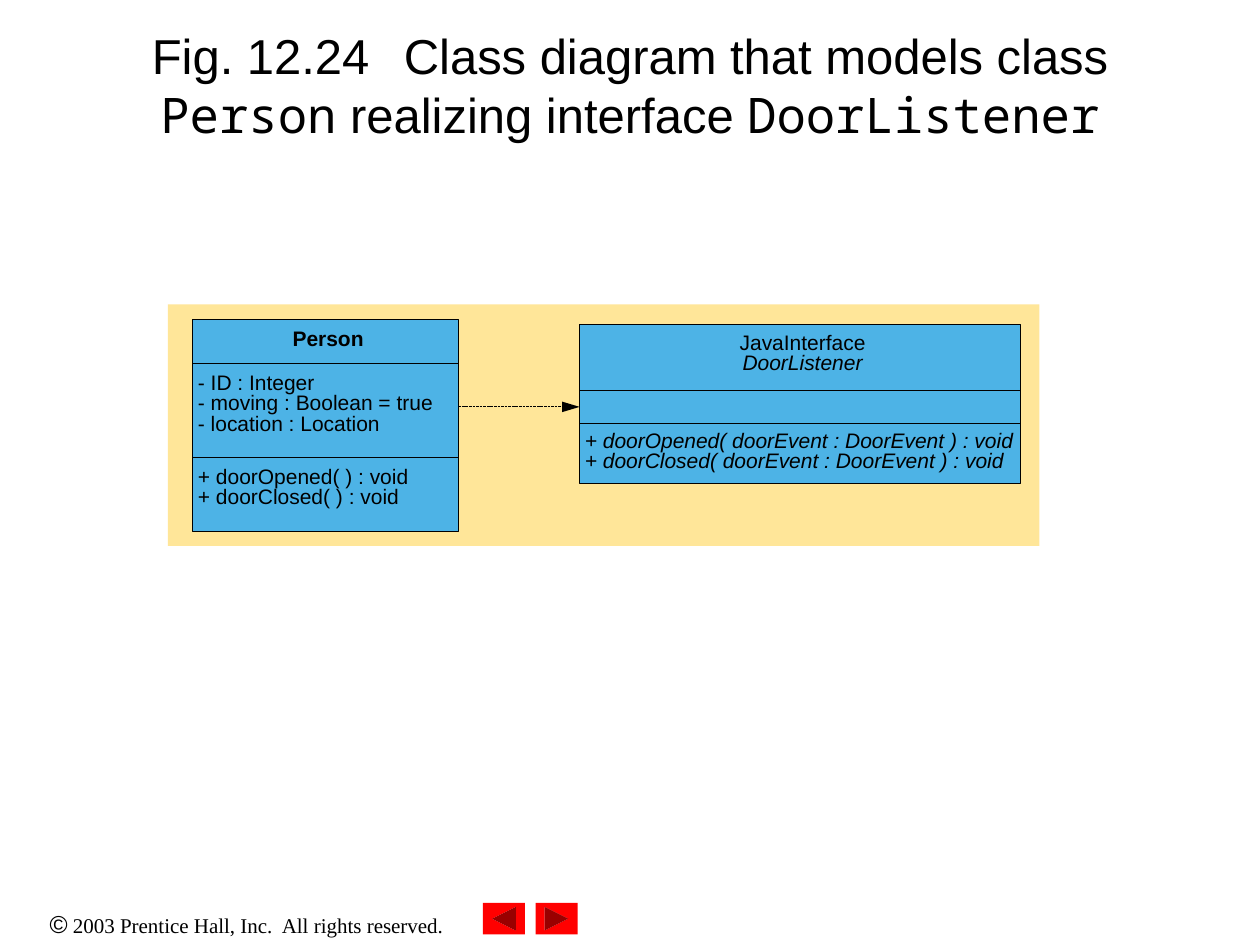
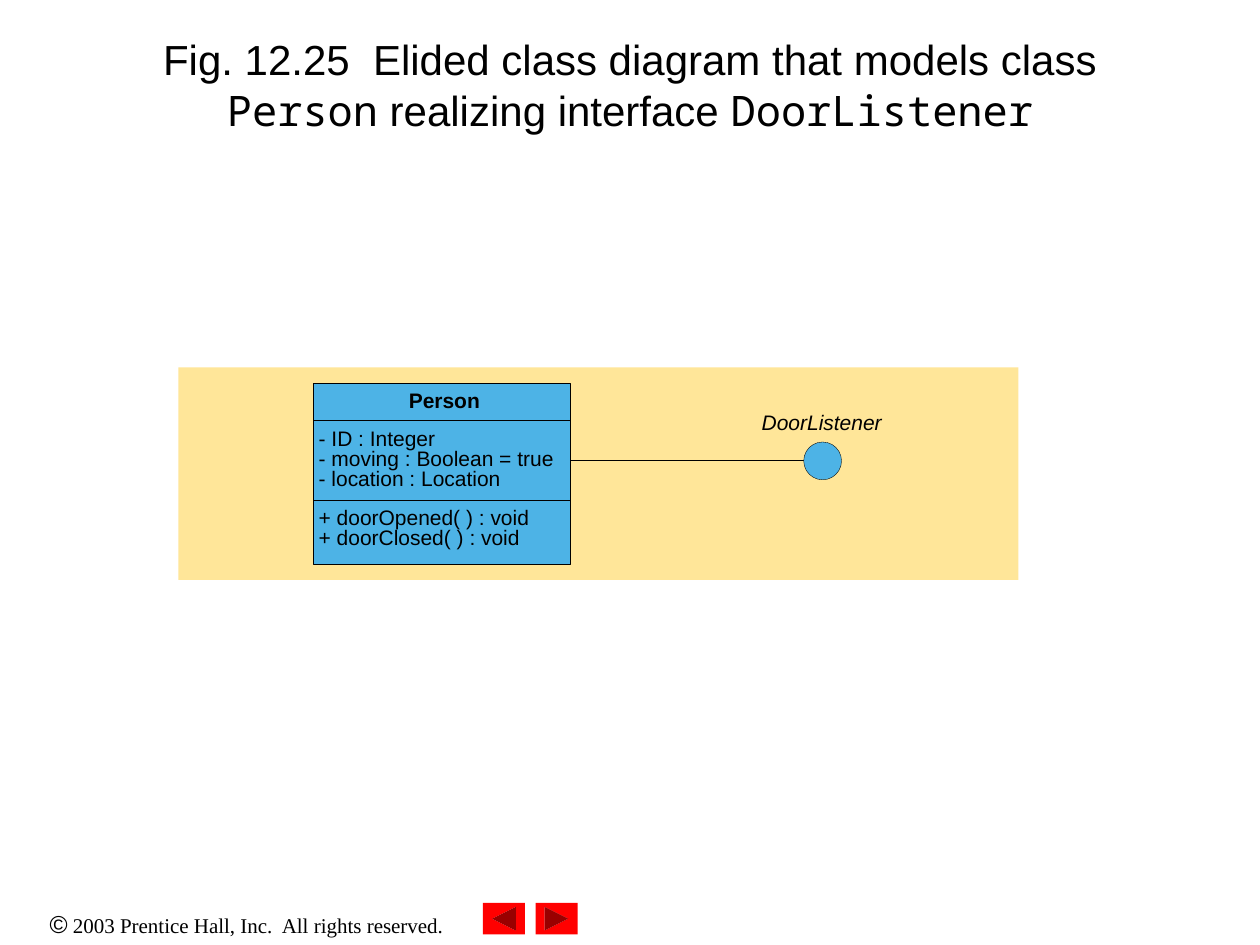
from dataclasses import dataclass
from typing import Any, NamedTuple

from lxml import etree
from pptx import Presentation
from pptx.dml.color import RGBColor
from pptx.enum.dml import MSO_LINE
from pptx.enum.shapes import MSO_CONNECTOR, MSO_SHAPE
from pptx.enum.text import MSO_ANCHOR, PP_ALIGN
from pptx.oxml.ns import qn
from pptx.util import Inches, Pt

RECTANGLE, OVAL = MSO_SHAPE.RECTANGLE, MSO_SHAPE.OVAL
NEXT_BUTTON = MSO_SHAPE.ACTION_BUTTON_FORWARD_OR_NEXT
STRAIGHT = MSO_CONNECTOR.STRAIGHT
DASHED = MSO_LINE.SQUARE_DOT
LEFT, CENTER = PP_ALIGN.LEFT, PP_ALIGN.CENTER
TOP, MIDDLE = MSO_ANCHOR.TOP, MSO_ANCHOR.MIDDLE

SLIDE_WIDTH, SLIDE_HEIGHT = Inches(10), Inches(7.5)
COLUMNS, ROWS = 120, 90
COLORS = {"ink": "000000", "panel": "FFE699", "uml": "4DB3E6", "button": "FF0000"}
SANS, MONO, SERIF = "Arial", "Noto Sans Mono", "Times New Roman"
PLAIN = {"name": SANS, "size": Pt(12)}
BOLD = PLAIN | {"bold": True}
ITALIC = PLAIN | {"italic": True}
HAIRLINE = 0.25
SIDE_PAD = 0.5
FRAME_INSETS = (1.2, 0.6)

Format = dict[str, Any]
Line = list[tuple[str, Format]]


class Area(NamedTuple):
    left: float
    top: float
    width: float
    height: float


class Compartment(NamedTuple):
    height: float
    lines: list[Line]
    align: Any = LEFT


@dataclass
class ClassBox:
    left: float
    top: float
    width: float
    text_gap: float
    compartments: list[Compartment]


@dataclass
class Figure:
    title: list[str]
    title_size: int
    panel: Area
    classes: list[ClassBox]


def col(count: float) -> int:
    return round(SLIDE_WIDTH * count / COLUMNS)


def row(count: float) -> int:
    return round(SLIDE_HEIGHT * count / ROWS)


def place(area: Area) -> tuple[int, int, int, int]:
    return col(area.left), row(area.top), col(area.width), row(area.height)


def color(key: str) -> RGBColor:
    return RGBColor.from_string(COLORS[key])


def apply(target: Any, values: Format) -> None:
    for attribute, value in values.items():
        setattr(target, attribute, value)


def add_tab_stops(paragraph: Any) -> None:
    stops = etree.SubElement(paragraph._p.get_or_add_pPr(), qn("a:tabLst"))
    for inch in range(8):
        etree.SubElement(stops, qn("a:tab"), pos=str(Inches(inch)), algn="l")


def add_text(slide: Any, area: Area, lines: list[Line], align: Any = LEFT,
             spacing: float = 0.8, anchor: Any = TOP,
             insets: tuple[float, float] = (0, 0), tabs: bool = False) -> None:
    frame = slide.shapes.add_textbox(*place(area)).text_frame
    side, end = col(insets[0]), row(insets[1])
    apply(frame, {"word_wrap": True, "vertical_anchor": anchor,
                  "margin_left": side, "margin_right": side,
                  "margin_top": end, "margin_bottom": end})
    for index, line in enumerate(lines):
        paragraph = frame.add_paragraph() if index else frame.paragraphs[0]
        apply(paragraph, {"alignment": align, "line_spacing": spacing})
        if tabs:
            add_tab_stops(paragraph)
        for words, style in line:
            run = paragraph.add_run()
            run.text = words
            apply(run.font, style)
            run.font.color.rgb = color("ink")


def add_block(slide: Any, kind: Any, area: Area, fill: str, outline: float = 0) -> Any:
    block = slide.shapes.add_shape(kind, *place(area))
    block.shadow.inherit = False
    block.fill.solid()
    block.fill.fore_color.rgb = color(fill)
    if outline:
        block.line.color.rgb = color("ink")
        block.line.width = Pt(outline)
    else:
        block.line.fill.background()
    return block


def add_rule(slide: Any, left: float, right: float, level: float,
             weight: float = HAIRLINE) -> Any:
    rule = slide.shapes.add_connector(STRAIGHT, col(left), row(level), col(right), row(level))
    rule.line.color.rgb = color("ink")
    rule.line.width = Pt(weight)
    etree.SubElement(rule._element.spPr, qn("a:effectLst"))
    return rule


def add_realization(slide: Any, left: float, right: float, level: float) -> None:
    arrow = add_rule(slide, left, right, level, 0.5)
    arrow.line.dash_style = DASHED
    etree.SubElement(arrow.line._get_or_add_ln(), qn("a:tailEnd"),
                     type="triangle", w="med", len="lg")


def add_class_box(slide: Any, box: ClassBox) -> None:
    total = sum(part.height for part in box.compartments)
    add_block(slide, RECTANGLE, Area(box.left, box.top, box.width, total), "uml", HAIRLINE)
    level = box.top
    for part in box.compartments:
        if level > box.top:
            add_rule(slide, box.left, box.left + box.width, level)
        if part.lines:
            add_text(slide, Area(box.left + SIDE_PAD, level + box.text_gap,
                                 box.width - SIDE_PAD, part.height - box.text_gap),
                     part.lines, part.align)
        level += part.height


def add_footer(slide: Any) -> None:
    notice = [("©", {"name": SANS, "size": Pt(14)}),
              (" 2003 Prentice Hall, Inc.  All rights reserved.",
               {"name": SERIF, "size": Pt(12)})]
    add_text(slide, Area(0, 86, 47, 4), [notice], CENTER, 1.0, insets=FRAME_INSETS)
    for left, turn in ((51, 0), (46, 180)):
        add_block(slide, NEXT_BUTTON, Area(left, 86, 4, 3), "button").rotation = turn


def add_figure(deck: Any, figure: Figure) -> Any:
    slide = deck.slides.add_slide(deck.slide_layouts[6])
    add_footer(slide)
    title = [(words, {"name": MONO if index % 2 else SANS, "size": Pt(figure.title_size)})
             for index, words in enumerate(figure.title)]
    add_text(slide, Area(9, 1, 102, 14), [title], CENTER, 1.0, MIDDLE, FRAME_INSETS, True)
    add_block(slide, RECTANGLE, figure.panel, "panel")
    for box in figure.classes:
        add_class_box(slide, box)
    return slide


def styled(style: Format, *lines: str) -> list[Line]:
    return [[(words, style)] for words in lines]


def person(left: float, top: float, width: float, text_gap: float,
           heights: tuple[float, float, float]) -> ClassBox:
    name, attributes, operations = heights
    return ClassBox(left, top, width, text_gap, [
        Compartment(name, styled(BOLD, "Person"), CENTER),
        Compartment(attributes, styled(PLAIN, "- ID : Integer", "- moving : Boolean = true",
                                       "- location : Location")),
        Compartment(operations, styled(PLAIN, "+ doorOpened( ) : void",
                                       "+ doorClosed( ) : void")),
    ])


def main() -> None:
    deck = Presentation()
    deck.slide_width, deck.slide_height = SLIDE_WIDTH, SLIDE_HEIGHT
    title_end = ["Person", " realizing interface ", "DoorListener"]

    listener = ClassBox(55.2, 30.9, 42, 0.9, [
        Compartment(6.3, styled(PLAIN, "JavaInterface") + styled(ITALIC, "DoorListener"),
                    CENTER),
        Compartment(3.1, []),
        Compartment(5.7, styled(ITALIC, "+ doorOpened( doorEvent : DoorEvent ) : void",
                                "+ doorClosed( doorEvent : DoorEvent ) : void")),
    ])
    full_person = person(18.35, 30.4, 25.3, 1.08, (4.2, 8.9, 7.1))
    full = add_figure(deck, Figure(
        ["Fig. 12.24\tClass diagram that models class ", *title_end], 28,
        Area(16, 29, 83, 23), [full_person, listener]))
    add_realization(full, full_person.left + full_person.width, listener.left, 38.75)

    short_person = person(29.85, 36.5, 24.45, 0.9, (3.55, 7.55, 6.15))
    elided = add_figure(deck, Figure(
        ["Fig. 12.25  Elided class diagram that models class ", *title_end], 24,
        Area(17, 35, 80, 20.25), [short_person]))
    lollipop = Area(76.55, 42.1, 3.6, 3.6)
    add_rule(elided, short_person.left + short_person.width, lollipop.left, 43.85, 0.2)
    add_block(elided, OVAL, lollipop, "uml", 0.2)
    add_text(elided, Area(72.55, 39.45, 12, 2), styled(ITALIC, "DoorListener"))

    deck.save("out.pptx")


if __name__ == "__main__":
    main()
